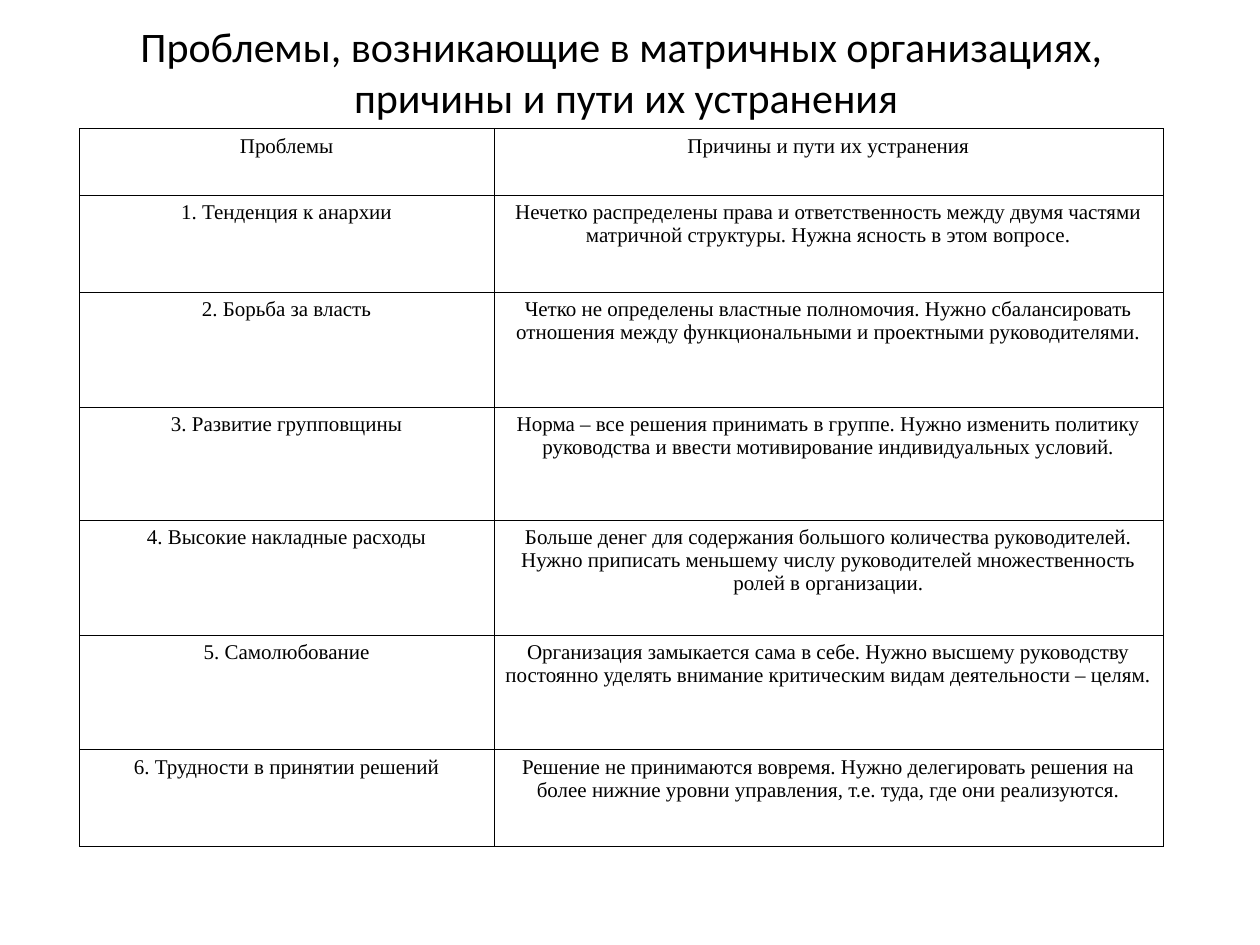
from lxml.etree import SubElement
from pptx import Presentation
from pptx.dml.color import RGBColor
from pptx.enum.text import MSO_ANCHOR as Anchor, PP_ALIGN as Align
from pptx.oxml.ns import qn
from pptx.util import Inches, Pt

COLOURS = {"ink": "000000", "paper": "FFFFFF"}
SLIDE_W, SLIDE_H = Inches(10), Inches(7.5)
HEADING_BOX = (0.047, 0.063, 0.9, 0.075)
PROBLEMS_BOX = (0.063, 0.136, 0.86, 0.76)
COLUMN_SHARES = (3.29, 5.31)
ROW_SHARES = (0.53, 0.77, 0.91, 0.9, 0.91, 0.91, 0.77)

HEADING = "Проблемы, возникающие в матричных организациях, \vпричины и пути их устранения"
PROBLEMS = [
    ("Проблемы", "Причины и пути их устранения"),
    ("1. Тенденция к анархии",
     "Нечетко распределены права и ответственность между двумя частями "
     "матричной структуры. Нужна ясность в этом вопросе."),
    ("2. Борьба за власть",
     "Четко не определены властные полномочия. Нужно сбалансировать "
     "отношения между функциональными и проектными руководителями."),
    ("3. Развитие групповщины",
     "Норма – все решения принимать в группе. Нужно изменить политику "
     "руководства и ввести мотивирование индивидуальных условий."),
    ("4. Высокие накладные расходы",
     "Больше денег для содержания большого количества руководителей. "
     "Нужно приписать меньшему числу руководителей множественность "
     "ролей в организации."),
    ("5. Самолюбование",
     "Организация замыкается сама в себе. Нужно высшему руководству "
     "постоянно уделять внимание критическим видам деятельности – целям."),
    ("6. Трудности в принятии решений",
     "Решение не принимаются вовремя. Нужно делегировать решения на "
     "более нижние уровни управления, т.е. туда, где они реализуются."),
]


def place(box):
    """Turn shares of the slide into left, top, width and height."""
    left, top, width, height = box
    return (int(left * SLIDE_W), int(top * SLIDE_H),
            int(width * SLIDE_W), int(height * SLIDE_H))


def style(paragraph, font_name, size):
    """Centre a paragraph and set its font."""
    paragraph.alignment = Align.CENTER
    paragraph.font.name = font_name
    paragraph.font.size = Pt(size)
    paragraph.font.color.rgb = RGBColor.from_string(COLOURS["ink"])


def add_borders(cell, width):
    """Draw a thin solid line on each side of a cell."""
    properties = cell._tc.get_or_add_tcPr()
    for position, side in enumerate(("lnL", "lnR", "lnT", "lnB")):
        line = SubElement(properties, qn(f"a:{side}"), w=str(Pt(width)))
        fill = SubElement(line, qn("a:solidFill"))
        SubElement(fill, qn("a:srgbClr"), val=COLOURS["ink"])
        properties.insert(position, line)


def add_heading(slide, box):
    """Place the two-line heading so that it rises from the foot of its box."""
    frame = slide.shapes.add_textbox(*place(box)).text_frame
    frame.word_wrap = True
    frame.vertical_anchor = Anchor.BOTTOM
    frame.margin_bottom = Inches(0.07)
    frame.text = HEADING
    style(frame.paragraphs[0], "Calibri", 24)


def fill_cell(cell, wording):
    """Write one cell and set its margins, font, fill and borders."""
    cell.text = wording
    cell.margin_left = cell.margin_right = Inches(0.06)
    cell.margin_top = cell.margin_bottom = Inches(0.05)
    paragraph = cell.text_frame.paragraphs[0]
    paragraph.space_before = Pt(11.5)
    paragraph.line_spacing = 0.98
    style(paragraph, "Times New Roman", 12)
    cell.fill.solid()
    cell.fill.fore_color.rgb = RGBColor.from_string(COLOURS["paper"])
    add_borders(cell, 0.45)


def add_problems(slide, box):
    """Place the table of problems, causes and remedies in the box."""
    left, top, width, height = place(box)
    table = slide.shapes.add_table(
        len(ROW_SHARES), len(COLUMN_SHARES), left, top, width, height).table
    table.first_row = table.horz_banding = False
    for column, share in zip(table.columns, COLUMN_SHARES):
        column.width = int(width * share / sum(COLUMN_SHARES))
    for row, share, wordings in zip(table.rows, ROW_SHARES, PROBLEMS):
        row.height = int(height * share / sum(ROW_SHARES))
        for cell, wording in zip(row.cells, wordings):
            fill_cell(cell, wording)


def main():
    """Build the slide and save it."""
    deck = Presentation()
    deck.slide_width, deck.slide_height = SLIDE_W, SLIDE_H
    slide = deck.slides.add_slide(deck.slide_layouts[6])
    add_heading(slide, HEADING_BOX)
    add_problems(slide, PROBLEMS_BOX)
    deck.save("out.pptx")


if __name__ == "__main__":
    main()
